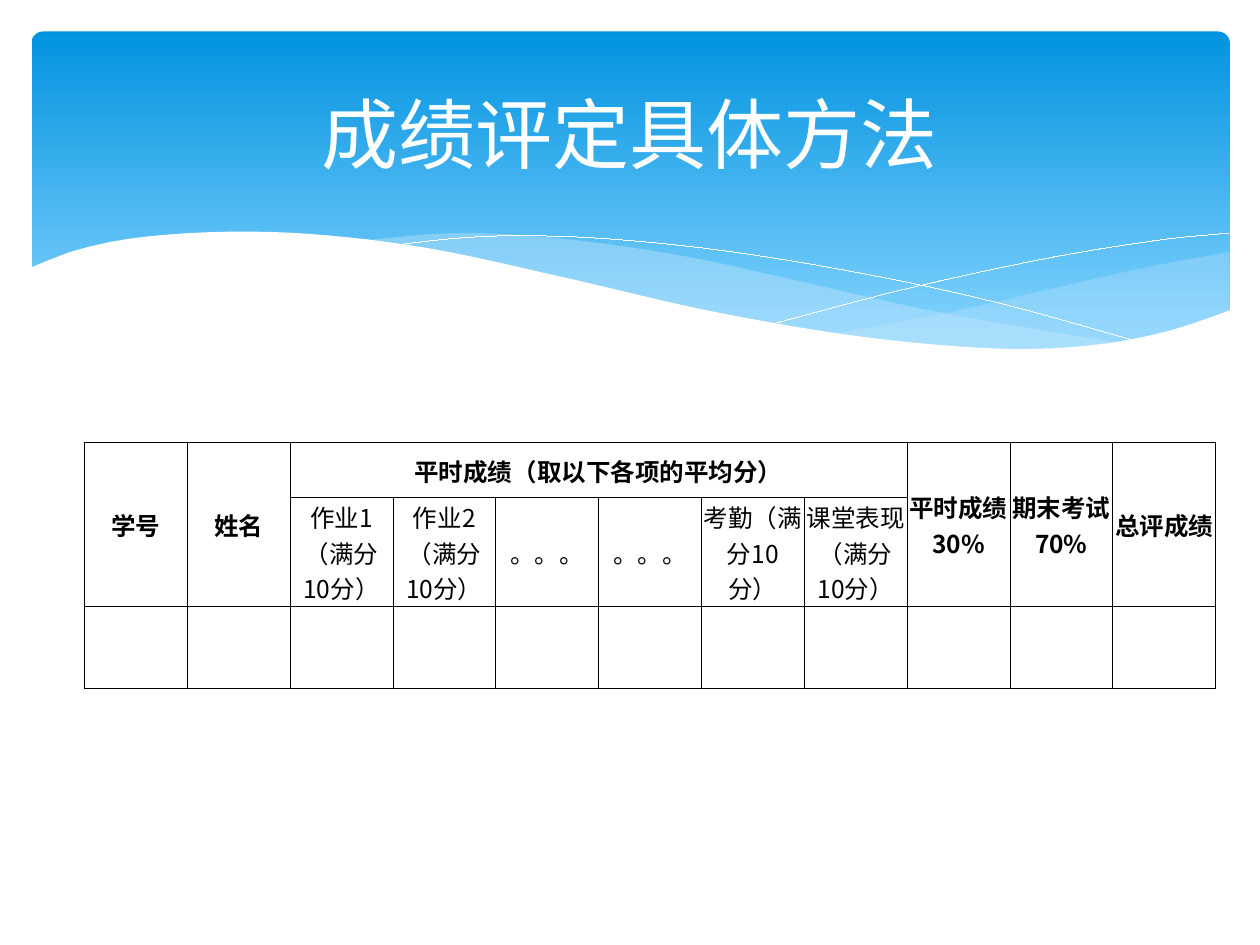
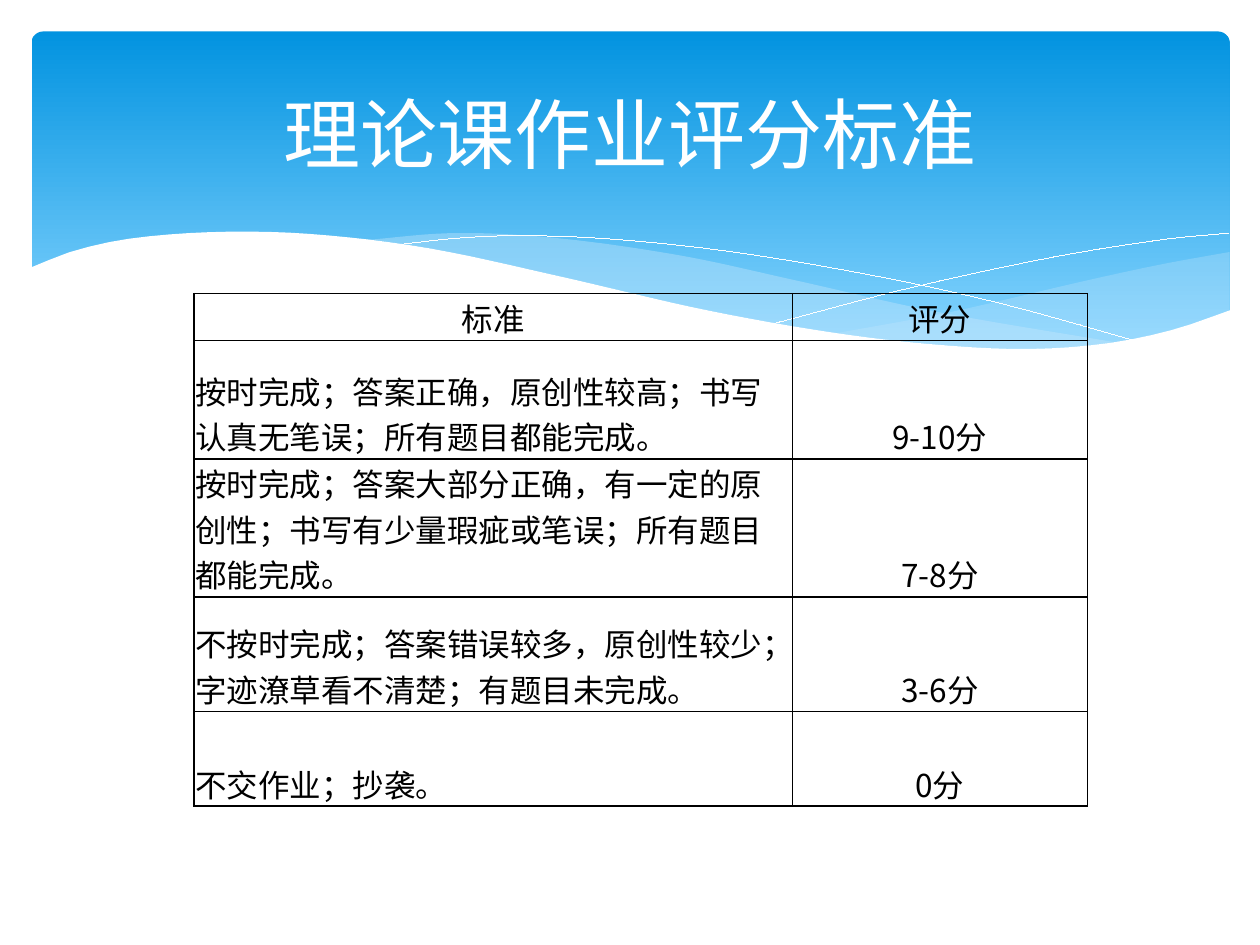
from lxml import etree
from pptx import Presentation
from pptx import util as u
from pptx.dml.color import RGBColor
from pptx.enum import shapes, text
from pptx.oxml.ns import qn

SKY = RGBColor(0x02, 0x93, 0xE0)
PALE = RGBColor(0x83, 0xD3, 0xFE)
MIST = RGBColor(0xC6, 0xE7, 0xFC)
WHITE = RGBColor(0xFF, 0xFF, 0xFF)
BLACK = RGBColor(0, 0, 0)
LATIN, HAN = "Calibri", "Noto Sans CJK SC"
MID, LOW = text.MSO_ANCHOR.MIDDLE, text.MSO_ANCHOR.BOTTOM
LEFT, CENTRE = text.PP_ALIGN.LEFT, text.PP_ALIGN.CENTER

deck = Presentation()
deck.slide_width, deck.slide_height = u.Inches(10), u.Inches(7.5)
UNIT = deck.slide_width // 1000  # all lengths are thousandths of the slide width
STEPS = 60  # straight pieces in each smooth edge


def put(frame, words, size=18, font=LATIN, color=BLACK, bold=False, align=CENTRE):
    para = frame.paragraphs[0]
    para.alignment = align
    run = para.add_run()
    run.text = words
    run.font.size = u.Pt(size)
    run.font.bold = bold
    run.font.color.rgb = color
    run.font.name = font
    etree.SubElement(run._r.get_or_add_rPr(), qn("a:ea"), typeface=HAN)


def trace(knots, start, end):
    """Points of a smooth curve through the knots, from x = start to x = end."""
    last = len(knots) - 1
    slopes = []
    for i in range(last + 1):
        (xa, ya), (xb, yb) = knots[max(i - 1, 0)], knots[min(i + 1, last)]
        slopes.append((yb - ya) / (xb - xa))
    dots = []
    for step in range(STEPS + 1):
        x = start + (end - start) * step / STEPS
        # Cubic Hermite piece that holds x
        i = max(n for n in range(last) if n == 0 or knots[n][0] <= x)
        (xa, ya), (xb, yb) = knots[i], knots[i + 1]
        gap = xb - xa
        t = (x - xa) / gap
        rise = t * t * (3 - 2 * t)
        bend = t * (1 - t) * ((1 - t) * slopes[i] - t * slopes[i + 1])
        y = ya + (yb - ya) * rise + gap * bend
        dots.append((round(x * UNIT), round(y * UNIT)))
    return dots


# Slides with their titles
page = deck.slide_layouts[5]
slides = []
for name in ("成绩评定具体方法", "理论课作业评分标准"):
    slide = deck.slides.add_slide(page)
    title = slide.shapes.title
    title.left, title.top, title.width, title.height = [
        n * UNIT for n in (50, 37, 900, 137)]
    title.text_frame.vertical_anchor = MID
    put(title.text_frame, name, size=44, color=WHITE)
    slides.append(slide)
marks, scores = slides

# Knots (x, y) of the band's edges, left to right
wave = [(23, 213), (59, 199), (106, 189), (177, 184), (250, 186), (340, 197),
        (447, 220), (555, 245), (648, 262), (726, 272), (809, 277),
        (875, 273), (930, 262), (977, 246)]
hill = [(286, 191), (361, 185), (442, 189), (541, 203), (629, 222),
        (741, 247), (893, 273)]
slope = [(661, 265), (753, 248), (861, 223), (921, 210), (976, 200)]
fall = [(309, 195), (363, 189), (416, 187), (489, 190), (582, 200),
        (695, 219), (795, 241), (907, 272)]
rise = [(613, 257), (720, 229), (836, 204), (924, 190), (975, 185)]
floor = [(23, 329), (977, 329)]

# Band: drawn once, then handed to the layout both slides share
band = marks.shapes.add_shape(
    shapes.MSO_SHAPE.ROUNDED_RECTANGLE, *[n * UNIT for n in (25, 25, 951, 270)])
band.adjustments[0] = 0.034
band.fill.gradient()
band.fill.gradient_angle = 270
for stop, color, spot in zip(band.fill.gradient_stops, (SKY, PALE), (0, 0.9)):
    stop.color.rgb = color
    stop.position = spot
band.line.fill.background()
parts = [band]

# Filled areas lie between an edge and a base; lines have no base
for edge, base, color, alpha in ((slope, wave, MIST, 29), (hill, wave, MIST, 40),
                                 (fall, None, None, 0), (rise, None, None, 0),
                                 (wave, floor, WHITE, 100)):
    start, end = edge[0][0], edge[-1][0]
    dots = trace(edge, start, end)
    if base:
        dots += trace(base, end, start)
    pen = marks.shapes.build_freeform(*dots[0])
    pen.add_line_segments(dots[1:], close=bool(base))
    curve = pen.convert_to_shape()
    if base:
        curve.fill.solid()
        curve.fill.fore_color.rgb = color
        curve.line.fill.background()
        tint = curve.element.spPr.find(".//" + qn("a:srgbClr"))
        etree.SubElement(tint, qn("a:alpha"), val=str(alpha * 1000))
    else:
        curve.fill.background()
        curve.line.color.rgb = WHITE
        curve.line.width = u.Pt(0.01)
    parts.append(curve)

first = page.placeholders[0].element
for part in parts:
    part.shadow.inherit = False
    first.addprevious(part.element)

# Cells of the marks table: row, column, rows down, columns across, words, format
bold = dict(size=14, font=HAN, bold=True)
plain = dict(size=14, font=HAN)
heads = [(0, 0, 2, 1, "学号", bold), (0, 1, 2, 1, "姓名", bold),
         (0, 2, 1, 6, "平时成绩（取以下各项的平均分）", bold),
         (0, 8, 2, 1, "平时成绩30%", bold), (0, 9, 2, 1, "期末考试70%", bold),
         (0, 10, 2, 1, "总评成绩", bold)]
items = ["作业1（满分10分）", "作业2（满分10分）", "。。。", "。。。",
         "考勤（满分10分）", "课堂表现（满分10分）"]
heads += [(1, col, 1, 1, words, plain) for col, words in enumerate(items, 2)]

# Cells of the scores table
rules = [
    ("按时完成；答案正确，原创性较高；书写认真无笔误；所有题目都能完成。", "9-10分"),
    ("按时完成；答案大部分正确，有一定的原创性；书写有少量瑕疵或笔误；所有题目都能完成。", "7-8分"),
    ("不按时完成；答案错误较多，原创性较少；字迹潦草看不清楚；有题目未完成。", "3-6分"),
    ("不交作业；抄袭。", "0分")]
grades = [(0, 0, 1, 1, "标准", {}), (0, 1, 1, 1, "评分", {})]
for row, (rule, grade) in enumerate(rules, 1):
    grades += [(row, 0, 1, 1, rule, dict(align=LEFT)),
               (row, 1, 1, 1, grade, dict(font=HAN))]

# Both tables
for slide, left, top, cols, rows, border, fill, anchor, cells in (
        (marks, 67, 351, [898 / 11] * 11, [44, 56, 65], 0.5, WHITE, MID, heads),
        (scores, 154, 233, [475, 234], [19, 94, 103, 91, 75], 1, None, LOW, grades)):
    box = [int(n * UNIT) for n in (left, top, sum(cols), sum(rows))]
    table = slide.shapes.add_table(len(rows), len(cols), *box).table
    table.first_row = table.horz_banding = False
    for col, size in zip(table.columns, cols):
        col.width = int(size * UNIT)
    for row, size in zip(table.rows, rows):
        row.height = size * UNIT
    for cell in table.iter_cells():
        cell.margin_left = cell.margin_right = cell.margin_top = UNIT
        cell.margin_bottom = 0
        cell.vertical_anchor = anchor
        if fill:
            cell.fill.solid()
            cell.fill.fore_color.rgb = fill
        else:
            cell.fill.background()
        # Cell borders go ahead of the fill
        for spot, side in enumerate(("lnL", "lnR", "lnT", "lnB")):
            line = etree.Element(qn("a:" + side), w=str(u.Pt(border)))
            ink = etree.SubElement(line, qn("a:solidFill"))
            etree.SubElement(ink, qn("a:srgbClr"), val=str(BLACK))
            cell._tc.get_or_add_tcPr().insert(spot, line)
    for row, col, down, across, words, style in cells:
        cell = table.cell(row, col)
        if down * across > 1:
            cell.merge(table.cell(row + down - 1, col + across - 1))
        put(cell.text_frame, words, **style)

deck.save("out.pptx")
